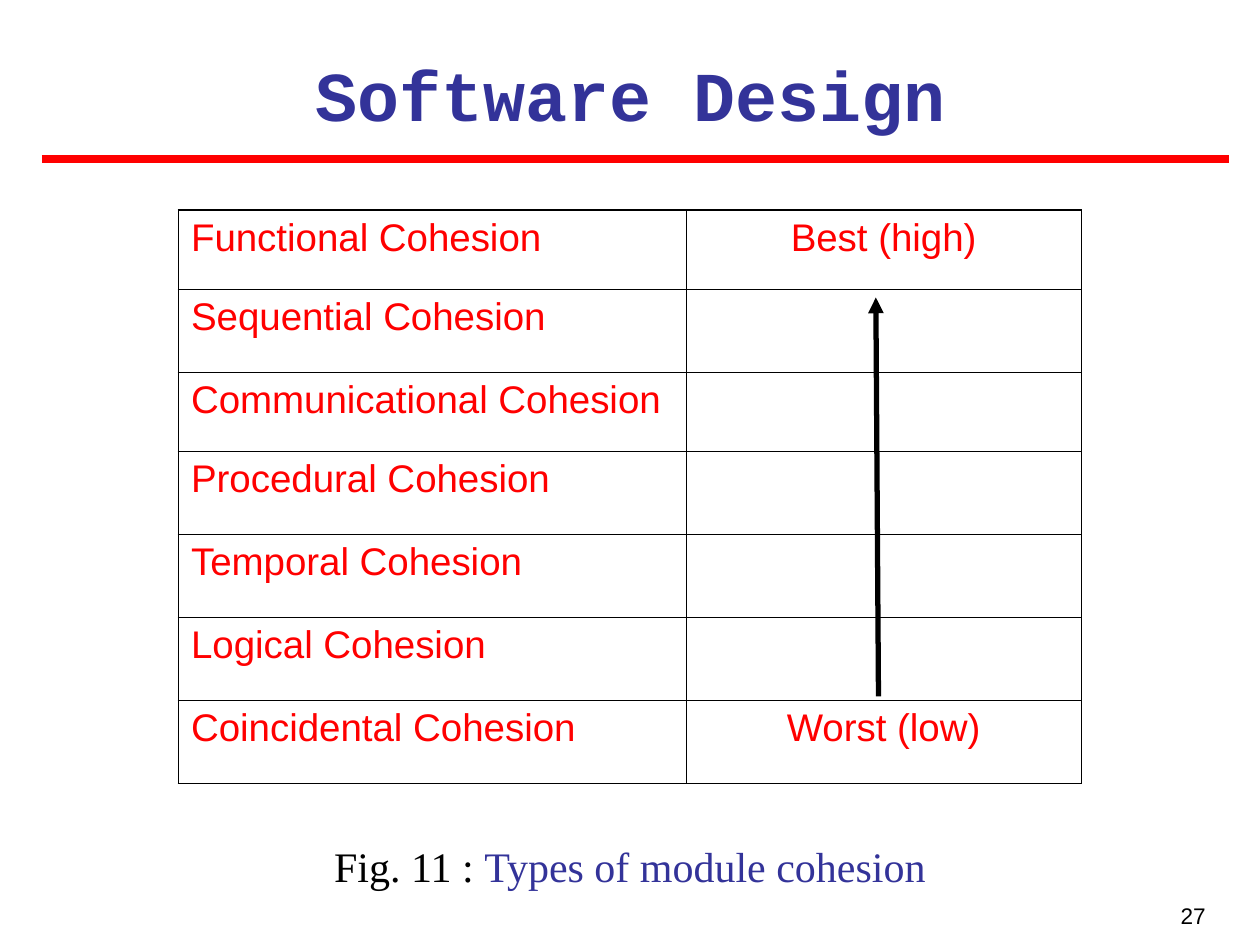
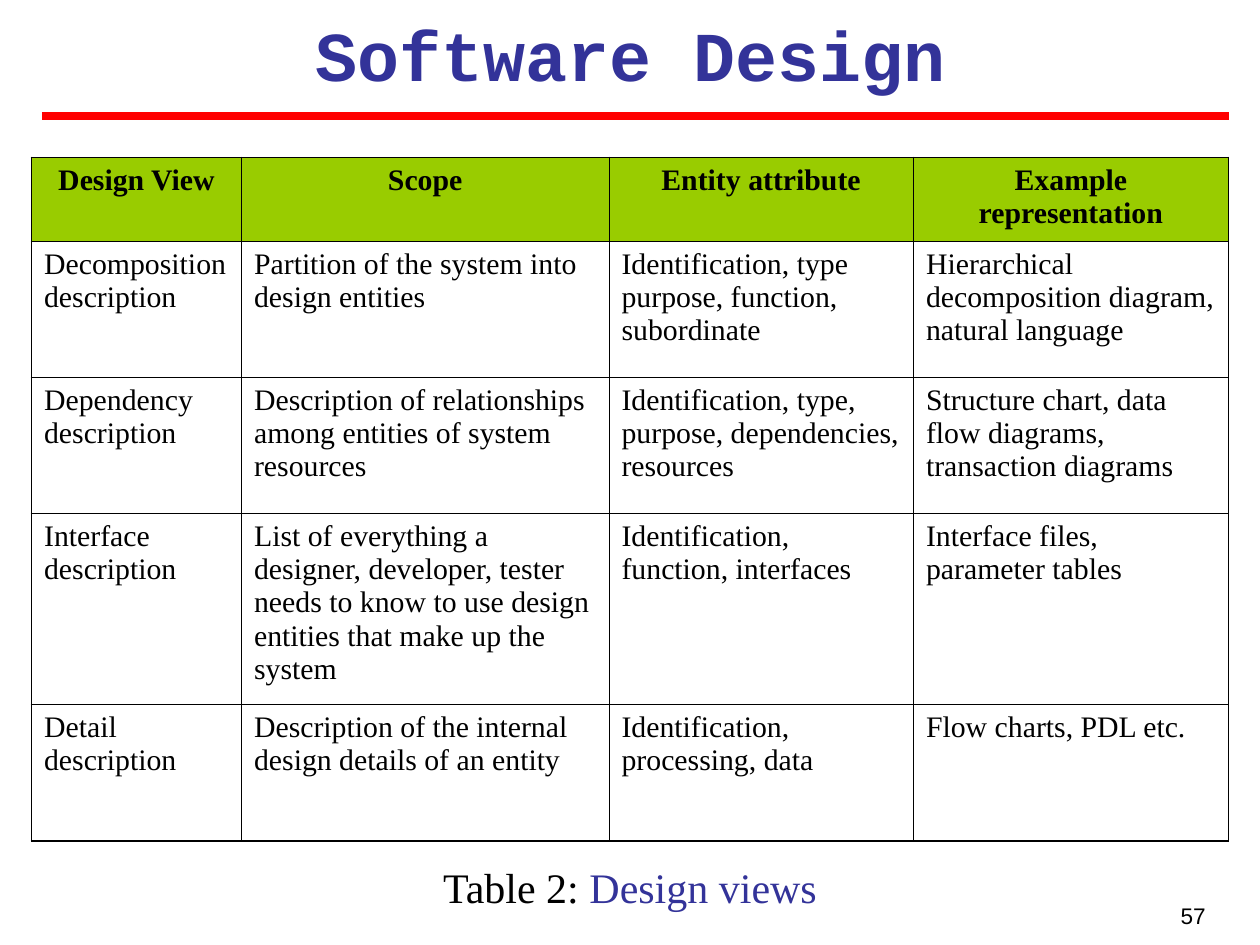
from lxml import etree
from pptx import Presentation
from pptx.dml.color import RGBColor
from pptx.enum.shapes import MSO_CONNECTOR
from pptx.enum.text import MSO_ANCHOR, MSO_AUTO_SIZE, PP_ALIGN
from pptx.oxml.ns import qn
from pptx.util import Pt

LEFT, CENTER, RIGHT = PP_ALIGN.LEFT, PP_ALIGN.CENTER, PP_ALIGN.RIGHT
BOTTOM = MSO_ANCHOR.BOTTOM
STRAIGHT = MSO_CONNECTOR.STRAIGHT
NO_AUTOFIT = MSO_AUTO_SIZE.NONE

BLACK = RGBColor(0x00, 0x00, 0x00)
RED = RGBColor(0xFF, 0x00, 0x00)
BLUE = RGBColor(0x33, 0x33, 0x99)
GREEN = RGBColor(0x99, 0xCC, 0x00)

SANS, SERIF, MONO = "Arial", "Times New Roman", "Courier New"
THIN, THICK = 0.45, 1.08

# Title top, rule height, caption top, caption label, caption text, page number
FRAMES = [
    (23, 90.7, 473.8, "Fig. 11 : ", "Types of module cohesion", "27"),
    (0, 66.2, 486, "Table 2: ", "Design views", "57"),
]

COHESION = [
    ("Functional Cohesion", "Best (high)"),
    ("Sequential Cohesion", ""),
    ("Communicational Cohesion", ""),
    ("Procedural Cohesion", ""),
    ("Temporal Cohesion", ""),
    ("Logical Cohesion", ""),
    ("Coincidental Cohesion", "Worst (low)"),
]

VIEWS = [
    ("Design View", "Scope", "Entity attribute", "Example representation"),
    ("Decomposition description",
     "Partition of the system into design entities",
     "Identification, type purpose, function, subordinate",
     "Hierarchical decomposition diagram, natural language"),
    ("Dependency description",
     "Description of relationships among entities of system resources",
     "Identification, type, purpose, dependencies, resources",
     "Structure chart, data flow diagrams, transaction diagrams"),
    ("Interface description",
     "List of everything a designer, developer, tester needs to know "
     "to use design entities that make up the system",
     "Identification, function, interfaces",
     "Interface files, parameter tables"),
    ("Detail description",
     "Description of the internal design details of an entity",
     "Identification, processing, data",
     "Flow charts, PDL etc."),
]


def add_line(s, x1, y1, x2, y2, color, width):
    line = s.shapes.add_connector(STRAIGHT, Pt(x1), Pt(y1), Pt(x2), Pt(y2))
    line.line.color.rgb = color
    line.line.width = Pt(width)
    etree.SubElement(line._element.spPr, qn("a:effectLst"))
    return line


def add_grid(s, x, y, widths, heights, rows, font, size, color):
    """Add an unfilled table with thin inner and thicker outer borders."""
    last_row, last_col = len(heights) - 1, len(widths) - 1
    table = s.shapes.add_table(len(heights), len(widths), Pt(x), Pt(y),
                               Pt(sum(widths)), Pt(sum(heights))).table
    table.first_row = table.horz_banding = False
    for column, width in zip(table.columns, widths):
        column.width = Pt(width)
    for r, height in enumerate(heights):
        table.rows[r].height = Pt(height)
        for c, text in enumerate(rows[r]):
            cell = table.cell(r, c)
            tcPr = cell._tc.get_or_add_tcPr()
            edges = {"L": c == 0, "R": c == last_col, "T": r == 0, "B": r == last_row}
            for side, outer in edges.items():
                ln = etree.SubElement(tcPr, qn(f"a:ln{side}"),
                                      w=str(Pt(THICK if outer else THIN)))
                fill = etree.SubElement(ln, qn("a:solidFill"))
                etree.SubElement(fill, qn("a:srgbClr"), val=str(BLACK))
            cell.fill.background()
            p = cell.text_frame.paragraphs[0]
            p.text = text
            p.font.name, p.font.size, p.font.bold = font, Pt(size), False
            p.font.color.rgb = color
    return table


prs = Presentation()
prs.slide_width, prs.slide_height = Pt(720), Pt(540)

# Title, rule, caption and page number on both slides
for title_top, rule_y, caption_top, label, caption, number in FRAMES:
    s = prs.slides.add_slide(prs.slide_layouts[5])
    title = s.shapes.title
    title.left, title.top, title.width, title.height = Pt(24), Pt(title_top), Pt(672), Pt(55.4)
    title.text = "Software Design"
    p = title.text_frame.paragraphs[0]
    p.alignment = CENTER
    p.font.name, p.font.size, p.font.bold = MONO, Pt(40), True
    p.font.color.rgb = BLUE

    add_line(s, 24, rule_y, 702, rule_y, RED, 4.5)

    sp = s.shapes.add_textbox(Pt(30), Pt(caption_top), Pt(660), Pt(36))
    p = sp.text_frame.paragraphs[0]
    p.alignment = CENTER
    p.font.name, p.font.size = SERIF, Pt(24)
    for text, color in ((label, BLACK), (caption, BLUE)):
        r = p.add_run()
        r.text = text
        r.font.color.rgb = color

    for tf in (title.text_frame, sp.text_frame):
        tf.word_wrap = True
        tf.auto_size = NO_AUTOFIT
        tf.vertical_anchor = BOTTOM
        tf.margin_bottom = Pt(1)

    tf = s.shapes.add_textbox(Pt(528), Pt(512), Pt(168), Pt(24)).text_frame
    tf.word_wrap = True
    p = tf.paragraphs[0]
    p.text = number
    p.alignment = RIGHT
    p.font.name, p.font.size = SANS, Pt(12.9)
    p.font.color.rgb = BLACK

cohesion_slide, views_slide = prs.slides

# Types of cohesion, ranked by an arrow from worst to best
table = add_grid(cohesion_slide, 102, 120, [290, 226],
                 [45.4, 47.4, 45.4] + [47.4] * 4, COHESION, SANS, 22, RED)
for row in table.rows:
    row.cells[1].text_frame.paragraphs[0].alignment = CENTER
arrow = add_line(cohesion_slide, 502, 398, 500.5, 170, BLACK, 3)
etree.SubElement(arrow.line._get_or_add_ln(), qn("a:tailEnd"), type="triangle")

# Design views with a green header row
table = add_grid(views_slide, 18, 90, [120, 210, 174, 180],
                 [48, 77.7, 77.7, 109, 77.7], VIEWS, SERIF, 17, BLACK)
for cell in table.rows[0].cells:
    cell.fill.solid()
    cell.fill.fore_color.rgb = GREEN
    p = cell.text_frame.paragraphs[0]
    p.alignment = CENTER
    p.font.bold = True

prs.save("out.pptx")
